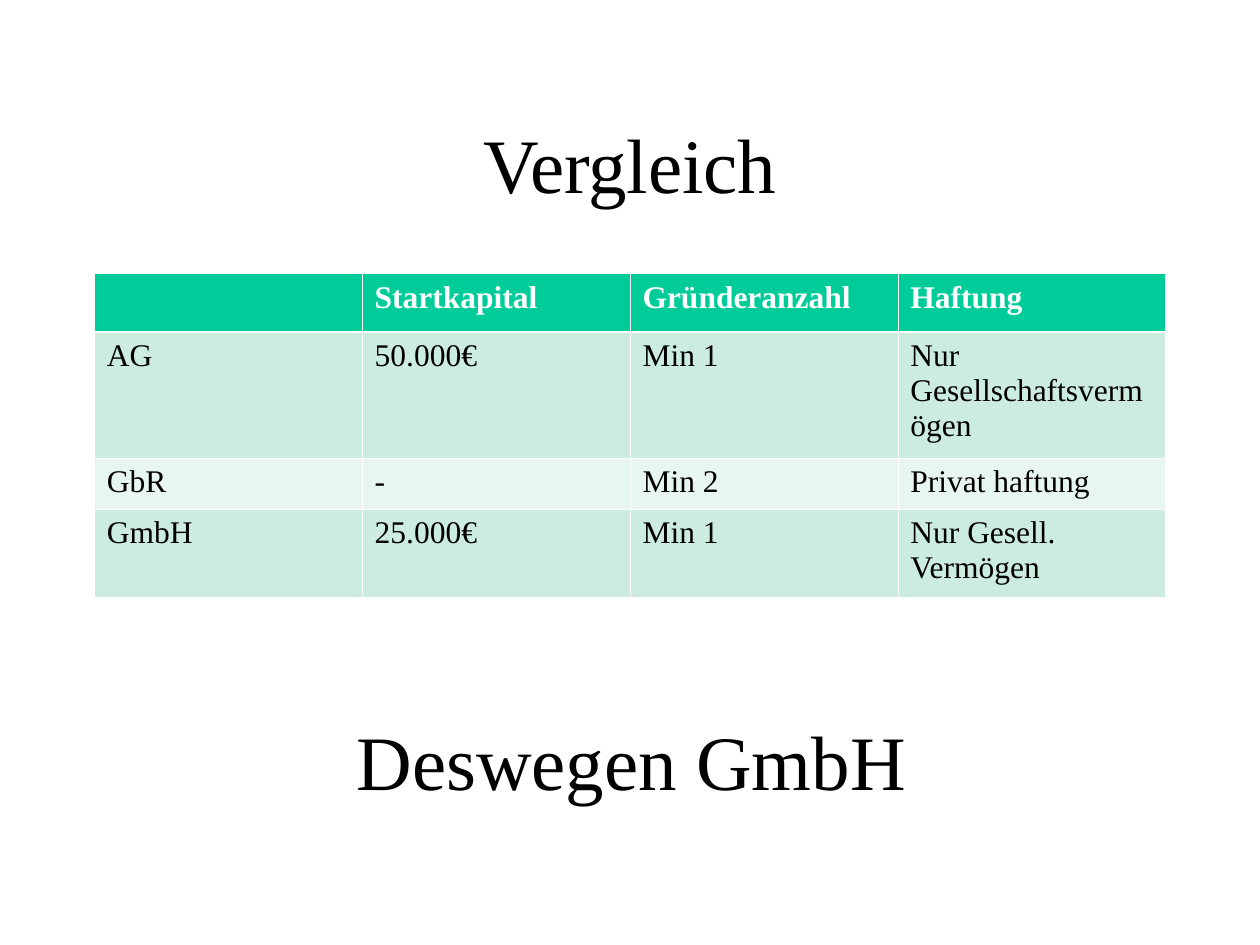
from dataclasses import dataclass

from lxml import etree
from pptx import Presentation
from pptx.dml.color import RGBColor
from pptx.enum import text as t
from pptx.oxml import ns
from pptx.util import Cm, Pt

BLACK = RGBColor(0x00, 0x00, 0x00)
WHITE = RGBColor(0xFF, 0xFF, 0xFF)
GREEN = RGBColor(0x00, 0xCC, 0x99)
MINT = RGBColor(0xCB, 0xEC, 0xDE)
PALE = RGBColor(0xE7, 0xF6, 0xEF)
FONT = "Times New Roman"
LEFT, WIDTH = 1.9, 21.6
THIN, THICK = 0.45, 1.47


@dataclass
class Line:
    words: str
    left: float
    top: float


@dataclass
class Row:
    cells: tuple[str, ...]
    high: float
    fill: RGBColor


LINES = [Line("Vergleich", LEFT, 1.7), Line("Deswegen GmbH", 1.93, 13.72)]
ROWS = [
    Row(("", "Startkapital", "Gründeranzahl", "Haftung"), 1.17, GREEN),
    Row(("AG", "50.000€", "Min 1", "Nur Gesellschaftsvermögen"), 2.55, MINT),
    Row(("GbR", "-", "Min 2", "Privat haftung"), 1.02, PALE),
    Row(("GmbH", "25.000€", "Min 1", "Nur Gesell. Vermögen"), 1.77, MINT),
]


def style(font, size: float, color: RGBColor, bold: bool = False) -> None:
    form = {"name": FONT, "size": Pt(size), "bold": bold}
    for key, val in form.items():
        setattr(font, key, val)
    font.color.rgb = color


def edge(cell, sides: dict[str, float]) -> None:
    """Put white borders ahead of the cell's fill."""
    props = cell._tc.get_or_add_tcPr()
    for i, (side, size) in enumerate(sides.items()):
        line = etree.Element(ns.qn(f"a:ln{side}"), w=str(int(Pt(size))))
        fill = etree.SubElement(line, ns.qn("a:solidFill"))
        etree.SubElement(fill, ns.qn("a:srgbClr"), val=str(WHITE))
        props.insert(i, line)


def draw_line(slide, line: Line) -> None:
    box = slide.shapes.add_textbox(Cm(line.left), Cm(line.top), Cm(WIDTH), Cm(3.18))
    frame = box.text_frame
    form = {"word_wrap": True, "vertical_anchor": t.MSO_ANCHOR.MIDDLE}
    for key, val in form.items():
        setattr(frame, key, val)
    para = frame.paragraphs[0]
    para.text = line.words
    para.alignment = t.PP_ALIGN.CENTER
    style(para.runs[0].font, 44, BLACK)


def draw_table(slide, rows: list[Row]) -> None:
    high = sum(row.high for row in rows)
    cols = len(rows[0].cells)
    table = slide.shapes.add_table(
        len(rows), cols, Cm(LEFT), Cm(5.52), Cm(WIDTH), Cm(high)
    ).table
    for col in table.columns:
        col.width = Cm(WIDTH / cols)
    for r, row in enumerate(rows):
        table.rows[r].height = Cm(row.high)
        head = r == 0
        sides = {
            "L": THIN,
            "R": THIN,
            "T": THICK if r == 1 else THIN,
            "B": THICK if head else THIN,
        }
        for c, words in enumerate(row.cells):
            cell = table.cell(r, c)
            cell.text = words
            cell.fill.solid()
            cell.fill.fore_color.rgb = row.fill
            style(cell.text_frame.paragraphs[0].font, 18, WHITE if head else BLACK, head)
            for run in cell.text_frame.paragraphs[0].runs:
                style(run.font, 18, WHITE if head else BLACK, head)
            edge(cell, sides)


def main() -> None:
    deck = Presentation()
    deck.slide_width, deck.slide_height = Cm(25.4), Cm(19.05)
    slide = deck.slides.add_slide(deck.slide_layouts[6])

    # Heading and conclusion
    for line in LINES:
        draw_line(slide, line)

    # Comparison of legal forms
    draw_table(slide, ROWS)

    deck.save("out.pptx")


if __name__ == "__main__":
    main()
